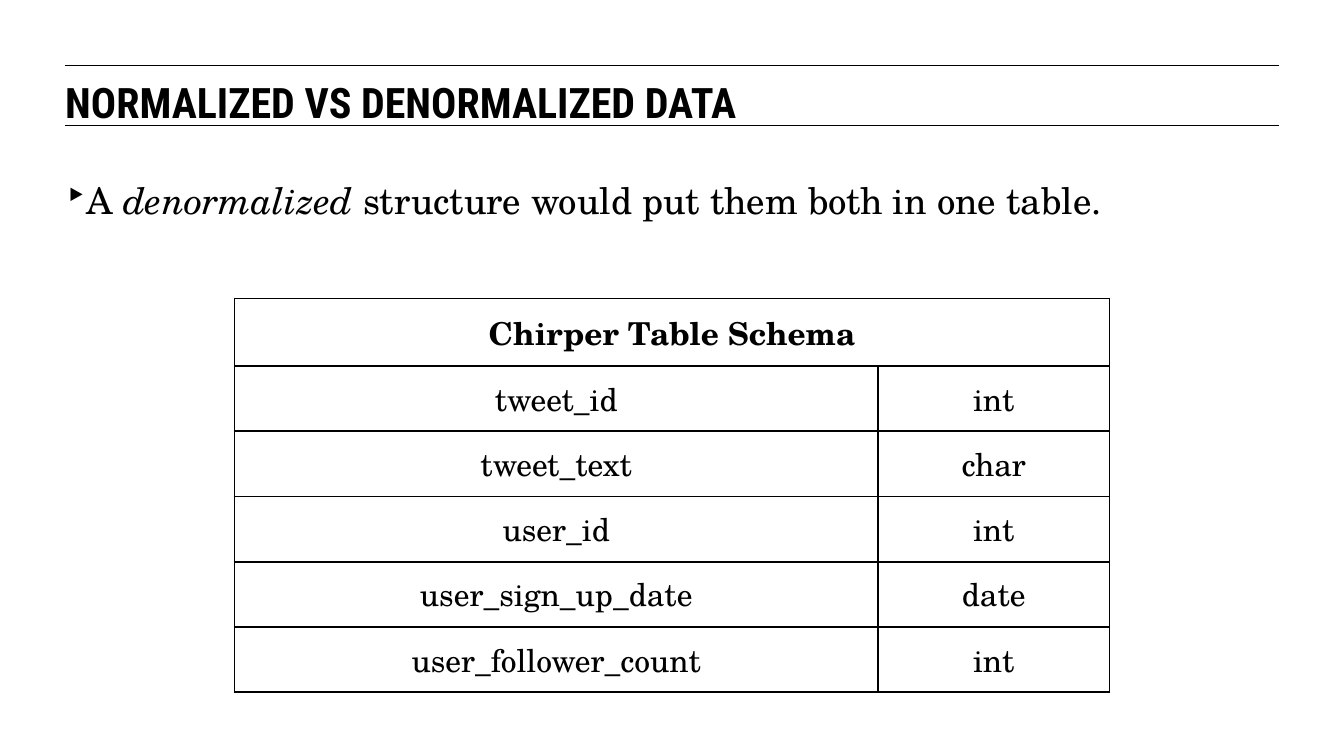
from dataclasses import dataclass

from lxml import etree
from pptx import Presentation
from pptx.dml.color import RGBColor
from pptx.enum import shapes, text
from pptx.oxml import ns
from pptx.util import Inches, Pt


@dataclass(frozen=True)
class Theme:
    ink: RGBColor = RGBColor(0, 0, 0)
    paper: RGBColor = RGBColor(255, 255, 255)
    title_font: str = "Roboto Condensed"
    body_font: str = "TeX Gyre Schola"
    title_size: int = 32
    body_size: int = 28
    table_size: int = 24
    rule_width: float = 0.75
    border_width: float = 1.5


THEME = Theme()
SCHEMA = [
    ("tweet_id", "int"),
    ("tweet_text", "char"),
    ("user_id", "int"),
    ("user_sign_up_date", "date"),
    ("user_follower_count", "int"),
]


def format_font(paragraph, name, size, bold=False):
    font = paragraph.font
    font.name, font.size, font.bold = name, Pt(size), bold
    font.color.rgb = THEME.ink


def set_frame(frame, top_inset=0):
    frame.word_wrap = True
    frame.auto_size = text.MSO_AUTO_SIZE.NONE
    frame.vertical_anchor = text.MSO_ANCHOR.TOP
    frame.margin_left = frame.margin_right = frame.margin_bottom = 0
    frame.margin_top = Inches(top_inset)


def add_rule(slide, left, top, width):
    rule = slide.shapes.add_connector(
        shapes.MSO_CONNECTOR.STRAIGHT,
        Inches(left), Inches(top), Inches(left + width), Inches(top))
    rule.line.color.rgb = THEME.ink
    rule.line.width = Pt(THEME.rule_width)
    etree.SubElement(rule._element.spPr, ns.qn("a:effectLst"))


def add_heading(slide, left, top, width, height, words):
    for rule_top in (top, top + height):
        add_rule(slide, left, rule_top, width)
    title = slide.shapes.title
    title.left, title.top = Inches(left), Inches(top + 0.12)
    title.width, title.height = Inches(width), Inches(0.47)
    set_frame(title.text_frame)
    title.text_frame.text = words
    paragraph = title.text_frame.paragraphs[0]
    paragraph.alignment = text.PP_ALIGN.LEFT
    paragraph.line_spacing = 1.0
    format_font(paragraph, THEME.title_font, THEME.title_size, bold=True)


def add_bullet(slide, left, top, width, height, pieces):
    box = slide.shapes.add_textbox(
        Inches(left), Inches(top), Inches(width), Inches(height))
    set_frame(box.text_frame, top_inset=0.47)
    paragraph = box.text_frame.paragraphs[0]
    for words, italic in pieces:
        run = paragraph.add_run()
        run.text = words
        run.font.italic = italic
    format_font(paragraph, THEME.body_font, THEME.body_size)
    properties = paragraph._p.get_or_add_pPr()
    properties.set("marL", str(Inches(0.22)))
    properties.set("indent", str(Inches(-0.28)))
    bullet = etree.Element(ns.qn("a:buChar"), char="‣")
    properties.insert(0, bullet)


def add_borders(cell):
    properties = cell._tc.get_or_add_tcPr()
    for index, side in enumerate(("lnL", "lnR", "lnT", "lnB")):
        line = etree.Element(ns.qn(f"a:{side}"), w=str(Pt(THEME.border_width)))
        fill = etree.SubElement(line, ns.qn("a:solidFill"))
        etree.SubElement(fill, ns.qn("a:srgbClr"), val=str(THEME.ink))
        properties.insert(index, line)


def add_schema_table(slide, left, top, column_widths, row_height, heading, fields):
    rows = [(heading, ""), *fields]
    table = slide.shapes.add_table(
        len(rows), len(column_widths), Inches(left), Inches(top),
        Inches(sum(column_widths)), Inches(row_height * len(rows))).table
    table.first_row = table.horz_banding = False
    for column, width in zip(table.columns, column_widths):
        column.width = Inches(width)
    for row_index, values in enumerate(rows):
        for column_index, value in enumerate(values):
            cell = table.cell(row_index, column_index)
            cell.text = value
            cell.vertical_anchor = text.MSO_ANCHOR.MIDDLE
            cell.margin_left = cell.margin_right = Inches(0.1)
            cell.margin_top = cell.margin_bottom = Inches(0.1)
            cell.fill.background()
            paragraph = cell.text_frame.paragraphs[0]
            paragraph.alignment = text.PP_ALIGN.CENTER
            format_font(paragraph, THEME.body_font, THEME.table_size, row_index == 0)
            add_borders(cell)
    table.cell(0, 0).merge(table.cell(0, len(column_widths) - 1))


def main():
    presentation = Presentation()
    presentation.slide_width, presentation.slide_height = Inches(14.22), Inches(7.99)
    slide = presentation.slides.add_slide(presentation.slide_layouts[5])
    slide.background.fill.solid()
    slide.background.fill.fore_color.rgb = THEME.paper
    add_heading(slide, 0.69, 0.69, 12.84, 0.64, "NORMALIZED VS DENORMALIZED DATA")
    add_bullet(slide, 0.69, 1.41, 12.84, 4.17, [
        ("A ", False),
        ("denormalized", True),
        (" structure would put them both in one table.", False),
    ])
    add_schema_table(slide, 2.48, 3.16, (6.81, 2.45), 0.69,
                     "Chirper Table Schema", SCHEMA)
    presentation.save("out.pptx")


if __name__ == "__main__":
    main()
